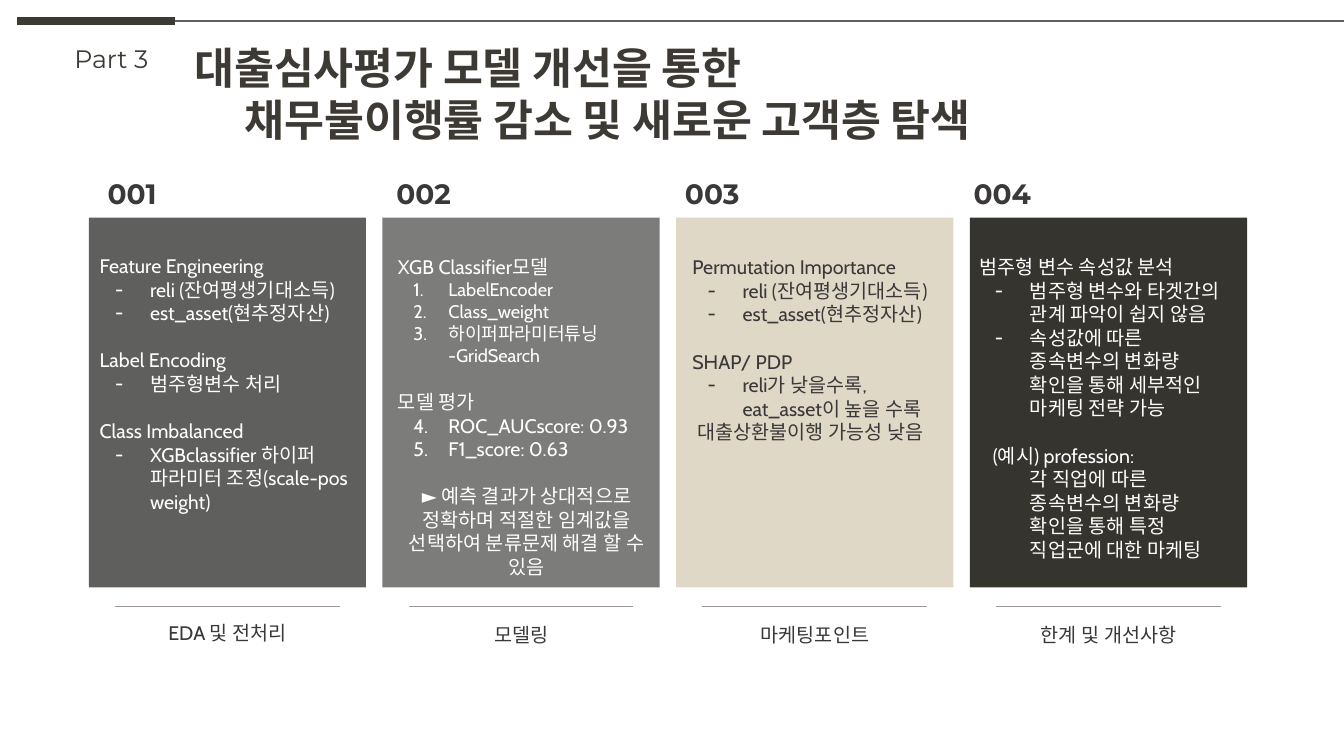
from lxml.etree import SubElement
from pptx import Presentation
from pptx.dml.color import RGBColor
from pptx.enum.shapes import MSO_CONNECTOR, MSO_SHAPE
from pptx.enum.text import MSO_AUTO_SIZE, PP_ALIGN
from pptx.oxml.ns import qn
from pptx.util import Pt

PART = "Part 3"
TITLE = [("대출심사평가 모델 개선을 통한", 0), ("채무불이행률 감소 및 새로운 고객층 탐색", 36)]

# style, text, size, blank lines before
CARDS = [
    {"number": "001", "caption": "EDA 및 전처리", "fill": "5F5F5D", "ink": "FFFFFF",
     "left": 64.1, "top": 174.2, "width": 206, "height": 218, "caption_top": 440, "lines": [
         ("plain", "Feature Engineering", "body", 0),
         ("dash", "reli (잔여평생기대소득)", "body", 0),
         ("dash", "est_asset(현추정자산)", "body", 0),
         ("plain", "Label Encoding", "body", 1),
         ("dash", "범주형변수 처리", "body", 0),
         ("plain", "Class Imbalanced", "body", 1),
         ("dash", "XGBclassifier 하이퍼 파라미터 조정(scale-pos weight)", "body", 0)]},
    {"number": "002", "caption": "모델링", "fill": "7C7C7A", "ink": "FFFFFF",
     "left": 277.2, "top": 175, "width": 198, "height": 246, "caption_top": 441.4, "lines": [
         ("plain", "XGB Classifier모델", "body", 0),
         ("1", "LabelEncoder", "small", 0),
         ("2", "Class_weight", "small", 0),
         ("3", "하이퍼파라미터튜닝", "small", 0),
         ("inset", "-GridSearch", "small", 0),
         ("plain", "모델 평가", "body", 1),
         ("4", "ROC_AUCscore: 0.93", "body", 0),
         ("5", "F1_score: 0.63", "body", 0),
         ("centre", "► 예측 결과가 상대적으로 정확하며 적절한 임계값을 선택하여 "
                    "분류문제 해결 할 수 있음", "body", 1)]},
    {"number": "003", "caption": "마케팅포인트", "fill": "DFD8C7", "ink": "3A3838",
     "left": 487.4, "top": 175, "width": 198, "height": 150, "caption_top": 441.4, "lines": [
         ("plain", "Permutation Importance", "body", 0),
         ("dash", "reli (잔여평생기대소득)", "body", 0),
         ("dash", "est_asset(현추정자산)", "body", 0),
         ("plain", "SHAP/ PDP", "body", 1),
         ("dash", "reli가 낮을수록,", "body", 0),
         ("inset", "eat_asset이 높을 수록", "body", 0),
         ("nudge", "대출상환불이행 가능성 낮음", "body", 0)]},
    {"number": "004", "caption": "한계 및 개선사항", "fill": "36342F", "ink": "FFFFFF",
     "left": 692.6, "top": 175, "width": 198, "height": 201, "caption_top": 441.4, "lines": [
         ("plain", "범주형 변수 속성값 분석", "body", 0),
         ("dash", "범주형 변수와 타겟간의 관계 파악이 쉽지 않음", "body", 0),
         ("dash", "속성값에 따른 종속변수의 변화량 확인을 통해 세부적인 마케팅 전략 가능", "body", 0),
         ("example", "(예시) profession:", "body", 1),
         ("inset", "각 직업에 따른 종속변수의 변화량 확인을 통해 특정 직업군에 대한 마케팅", "body", 0)]},
]

THEME = {
    "text": "Cabin", "display": "Montserrat",
    "title_ink": "3D3A35", "ink": "3A3838", "top_rule": "5F5F5D", "caption_rule": "9F9797",
    "title": 31, "part": 18, "number": 20, "body": 14, "small": 13,
}
MARGINS = {"plain": 0, "centre": 0, "nudge": 3.5, "example": 9.5}
INSET, HANG, LINE = 36, 25, 17
CARD_LEFT, CARD_STEP = 63.4, 209.8
NUMBER_LEFT, NUMBER_STEP = 69.8, 206.2


def add_box(s, left, top, width, height, inset=3.6):
    sp = s.shapes.add_textbox(Pt(left), Pt(top), Pt(width), Pt(height))
    tf = sp.text_frame
    tf.word_wrap = True
    tf.auto_size = MSO_AUTO_SIZE.SHAPE_TO_FIT_TEXT
    tf.margin_left = tf.margin_right = Pt(7.2)
    tf.margin_top = tf.margin_bottom = Pt(inset)
    return tf


def next_paragraph(tf):
    return tf.paragraphs[0] if not tf.paragraphs[0].runs else tf.add_paragraph()


def add_run(p, text, size, color, font="text", bold=False):
    r = p.add_run()
    r.text = text
    r.font.size = Pt(THEME[size])
    r.font.bold = bold
    r.font.color.rgb = RGBColor.from_string(color)
    r.font.name = THEME[font]
    SubElement(r.font._element, qn("a:ea"), typeface=THEME[font])


def indent(p, margin, hang=0):
    pPr = p._p.get_or_add_pPr()
    pPr.set("marL", str(Pt(margin)))
    pPr.set("indent", str(-Pt(hang)))
    return pPr


def add_line(tf, style, text, size, blanks, color):
    p = next_paragraph(tf)
    marked = style == "dash" or style.isdigit()
    pPr = indent(p, MARGINS.get(style, INSET), HANG if marked else 0)
    if blanks:
        p.space_before = Pt(blanks * LINE)
    if marked:
        SubElement(SubElement(pPr, qn("a:buClr")), qn("a:srgbClr"), val=color)
        SubElement(pPr, qn("a:buFont"), typeface=THEME["text"])
    if style == "dash":
        SubElement(pPr, qn("a:buChar"), char="-")
    elif marked:
        SubElement(pPr, qn("a:buAutoNum"), type="arabicPeriod", startAt=style)
    if style == "centre":
        p.alignment = PP_ALIGN.CENTER
    add_run(p, text, size, color)


def add_rule(s, x1, x2, y, color, weight):
    line = s.shapes.add_connector(MSO_CONNECTOR.STRAIGHT, Pt(x1), Pt(y), Pt(x2), Pt(y))
    line.line.color.rgb = RGBColor.from_string(color)
    line.line.width = Pt(weight)
    SubElement(line._element.spPr, qn("a:effectLst"))


def add_card(s, i, card):
    left = CARD_LEFT + i * CARD_STEP
    sp = s.shapes.add_shape(MSO_SHAPE.RECTANGLE, Pt(left), Pt(155.5), Pt(198), Pt(264.2))
    sp.shadow.inherit = False
    sp.fill.solid()
    sp.fill.fore_color.rgb = RGBColor.from_string(card["fill"])
    sp.line.fill.background()

    tf = add_box(s, NUMBER_LEFT + i * NUMBER_STEP, 122.4, 65, 31.7)
    add_run(tf.paragraphs[0], card["number"], "number", THEME["ink"], "display", True)

    tf = add_box(s, card["left"], card["top"], card["width"], card["height"], 7.2)
    for line in card["lines"]:
        add_line(tf, *line, card["ink"])

    add_rule(s, left + 18.8, left + 179.2, 433.4, THEME["caption_rule"], 0.75)
    tf = add_box(s, left + 37.2, card["caption_top"], 124, 24.5)
    add_line(tf, "centre", card["caption"], "body", 0, THEME["ink"])


def main():
    prs = Presentation()
    prs.slide_width, prs.slide_height = Pt(960), Pt(540)
    s = prs.slides.add_slide(prs.slide_layouts[6])

    add_rule(s, 12.2, 125.3, 15, THEME["title_ink"], 6)
    add_rule(s, 125.3, 960, 15, THEME["top_rule"], 0.75)
    tf = add_box(s, 46, 27.4, 82, 29)
    add_run(tf.paragraphs[0], PART, "part", THEME["title_ink"], "display")
    tf = add_box(s, 131.8, 25.9, 779, 82)
    for text, margin in TITLE:
        p = next_paragraph(tf)
        indent(p, margin)
        add_run(p, text, "title", THEME["title_ink"], bold=True)

    for i, card in enumerate(CARDS):
        add_card(s, i, card)
    prs.save("out.pptx")


if __name__ == "__main__":
    main()
